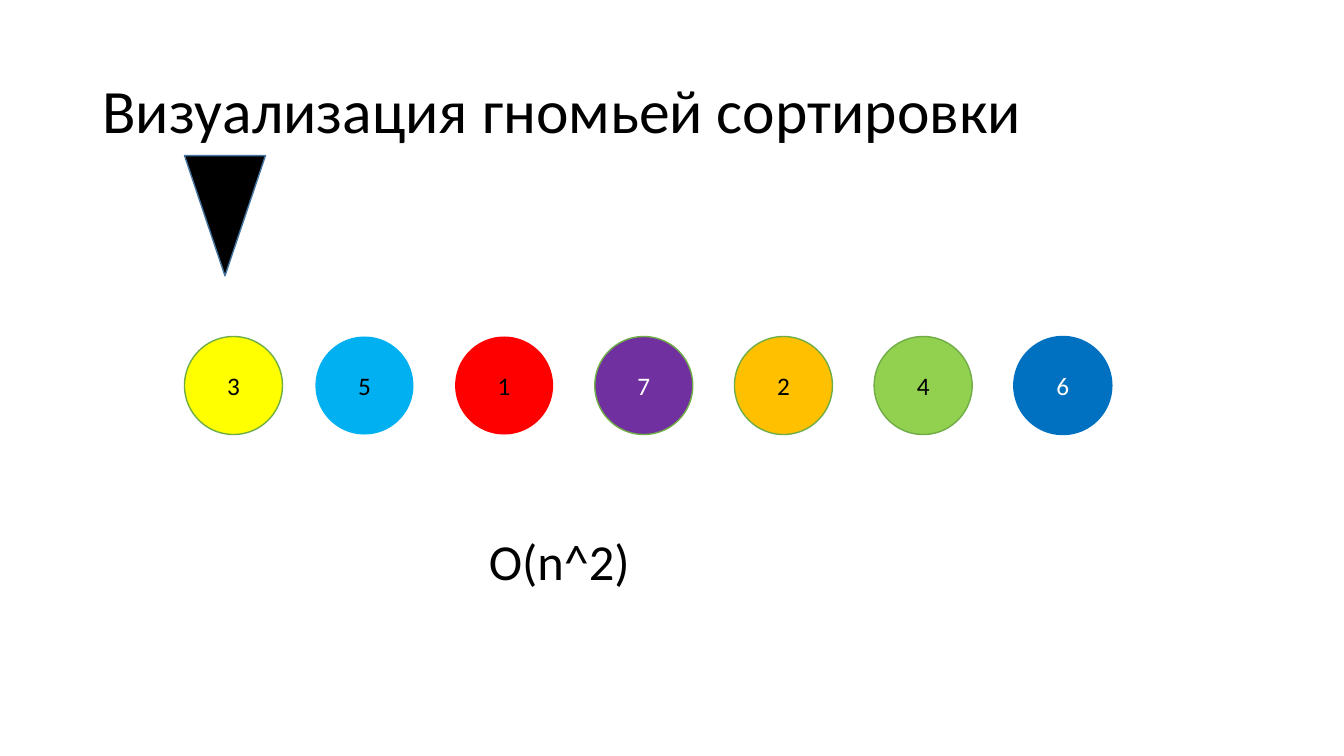
from pptx import Presentation
from pptx.dml.color import RGBColor
from pptx.enum import shapes, text
from pptx.util import Cm, Pt

FONT = "Calibri"
BLACK, WHITE, GREEN, BLUE = "000000", "FFFFFF", "70AD47", "0070C0"
# number, fill, outline, number colour
BALLS = [
    ("3", "FFFF00", GREEN, BLACK),
    ("5", "00B0F0", None, BLACK),
    ("1", "FF0000", None, BLACK),
    ("7", "7030A0", GREEN, WHITE),
    ("2", "FFC000", GREEN, BLACK),
    ("4", "92D050", GREEN, BLACK),
    ("6", BLUE, BLUE, WHITE),
]


def color(value):
    return RGBColor.from_string(value)


def write(paragraph, words, size, font_color):
    run = paragraph.add_run()
    run.text = words
    run.font.name = FONT
    run.font.size = Pt(size)
    run.font.color.rgb = color(font_color)


def add_figure(slide, kind, left, top, width, height, fill, outline):
    shape = slide.shapes.add_shape(kind, Cm(left), Cm(top), Cm(width), Cm(height))
    shape.shadow.inherit = False
    shape.fill.solid()
    shape.fill.fore_color.rgb = color(fill)
    if outline:
        shape.line.color.rgb = color(outline)
        shape.line.width = Pt(1)
    else:
        shape.line.fill.background()
    return shape


def add_label(slide, left, top, width, height, words, size):
    shape = slide.shapes.add_textbox(Cm(left), Cm(top), Cm(width), Cm(height))
    shape.text_frame.word_wrap = True
    write(shape.text_frame.paragraphs[0], words, size, BLACK)
    return shape


def add_title(slide, left, top, width, height):
    frame = add_label(slide, left, top, width, height,
                      "Визуализация гномьей сортировки", 44).text_frame
    frame.vertical_anchor = text.MSO_ANCHOR.MIDDLE
    frame.paragraphs[0].line_spacing = 0.9


def add_pointer(slide, left, top, width, height):
    pointer = add_figure(slide, shapes.MSO_SHAPE.ISOSCELES_TRIANGLE,
                         left, top, width, height, BLACK, "43739E")
    pointer.rotation = 180


def add_balls(slide, left, top, diameter):
    """Draw the row of numbers; the first gap is narrower than the others."""
    first_step, step = 3.3, 3.52
    for index, (number, fill, outline, font_color) in enumerate(BALLS):
        offset = first_step + (index - 1) * step if index else 0
        ball = add_figure(slide, shapes.MSO_SHAPE.OVAL, left + offset, top,
                          diameter, diameter, fill, outline)
        ball.text_frame.vertical_anchor = text.MSO_ANCHOR.MIDDLE
        paragraph = ball.text_frame.paragraphs[0]
        paragraph.alignment = text.PP_ALIGN.CENTER
        write(paragraph, number, 18, font_color)


def main():
    presentation = Presentation()
    presentation.slide_width = Cm(33.87)
    presentation.slide_height = Cm(19.05)
    slide = presentation.slides.add_slide(presentation.slide_layouts[6])
    add_balls(slide, 4.65, 8.48, 2.47)
    add_pointer(slide, 4.65, 3.92, 2.04, 3.03)
    complexity = add_label(slide, 12.07, 13.23, 10.44, 1.8, "O(n^2)", 36)
    complexity.text_frame.auto_size = text.MSO_AUTO_SIZE.SHAPE_TO_FIT_TEXT
    add_title(slide, 2.33, 1.01, 29.21, 3.68)
    presentation.save("out.pptx")


if __name__ == "__main__":
    main()
